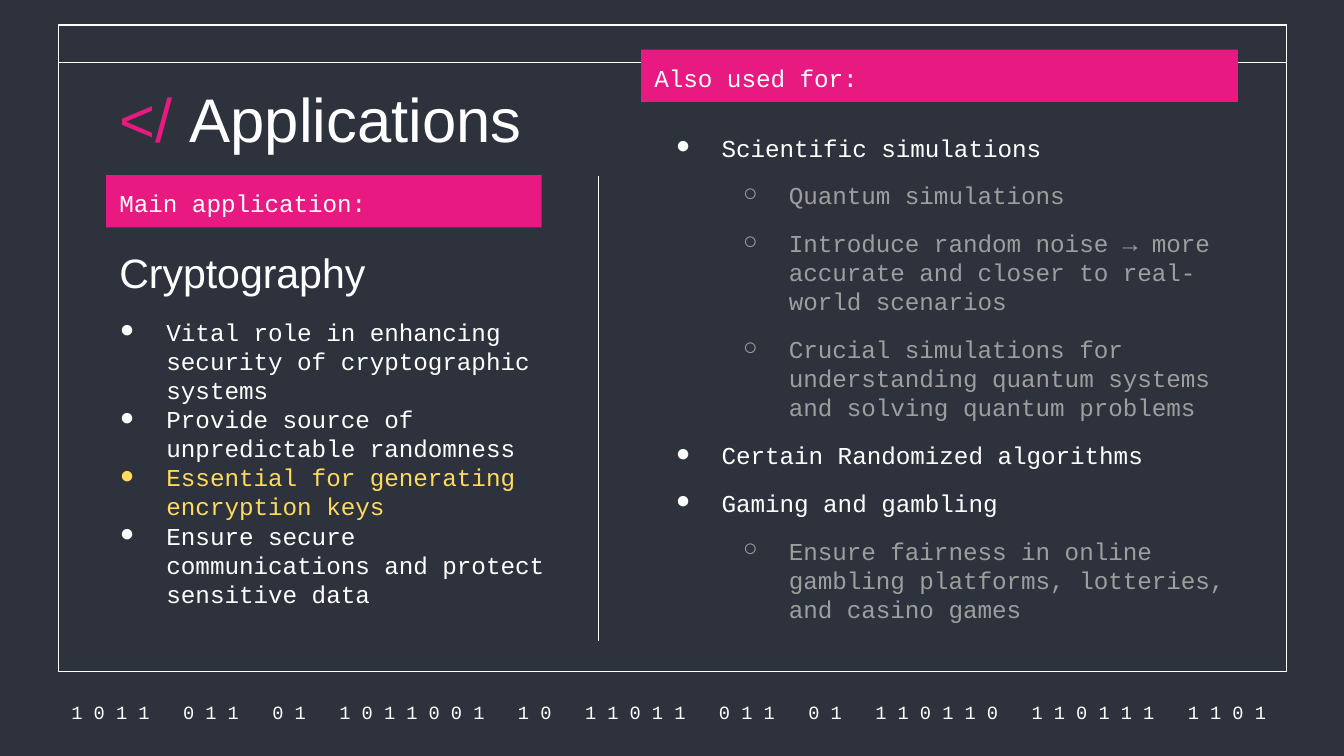
from lxml import etree
from pptx import Presentation
from pptx import util as u
from pptx.dml.color import RGBColor
from pptx.enum import shapes, text
from pptx.oxml.ns import qn

Pt = u.Pt
NAVY = RGBColor(0x2D, 0x32, 0x3C)
WHITE = RGBColor(0xFF, 0xFF, 0xFF)
PINK = RGBColor(0xE8, 0x19, 0x81)
YELLOW = RGBColor(0xFF, 0xDB, 0x5D)
GRAY = RGBColor(0x9E, 0x9E, 0x9E)
SANS, MONO = "Arial", "Courier New"
BODY_SIZE, BODY_LEADING = 13, 15.6
INSET = 7.2
BITS = "1011 011 01 1011001 10 11011 011 01 110110 110111 1101"

# Each item: text, level, colour
CRYPTOGRAPHY_ITEMS = [
    ("Vital role in enhancing security of cryptographic systems", 0, WHITE),
    ("Provide source of unpredictable randomness", 0, WHITE),
    ("Essential for generating encryption keys", 0, YELLOW),
    ("Ensure secure communications and protect sensitive data", 0, WHITE),
]
OTHER_ITEMS = [
    ("Scientific simulations", 0, WHITE),
    ("Quantum simulations", 1, GRAY),
    ("Introduce random noise → more accurate and closer to real-world scenarios", 1, GRAY),
    ("Crucial simulations for understanding quantum systems and solving quantum problems", 1, GRAY),
    ("Certain Randomized algorithms", 0, WHITE),
    ("Gaming and gambling", 0, WHITE),
    ("Ensure fairness in online gambling platforms, lotteries, and casino games", 1, GRAY),
]


def style_font(font, name, size, color):
    font.name, font.size = name, Pt(size)
    font.color.rgb = color


def prepare_frame(shape, anchor=text.MSO_ANCHOR.TOP):
    frame = shape.text_frame
    frame.word_wrap = True
    frame.vertical_anchor = anchor
    frame.margin_left = frame.margin_right = Pt(INSET)
    frame.margin_top = frame.margin_bottom = Pt(INSET)
    return frame


def add_text_box(slide, left, top, width, height, anchor=text.MSO_ANCHOR.TOP):
    box = slide.shapes.add_textbox(Pt(left), Pt(top), Pt(width), Pt(height))
    return prepare_frame(box, anchor)


def add_rectangle(slide, left, top, width, height, fill, line=None):
    shape = slide.shapes.add_shape(
        shapes.MSO_SHAPE.RECTANGLE, Pt(left), Pt(top), Pt(width), Pt(height))
    shape.shadow.inherit = False
    shape.fill.solid()
    shape.fill.fore_color.rgb = fill
    if line is None:
        shape.line.fill.background()
    else:
        shape.line.color.rgb = line
        shape.line.width = Pt(0.75)
    return shape


def add_window(slide, left, top, width, height):
    for part_height in (height, 20):
        add_rectangle(slide, left, top, width, part_height, NAVY, WHITE)


def add_binary_strip(slide, left, top, width, height):
    """Spaced digits, with wider tracking on the space between groups."""
    frame = add_text_box(slide, left, top, width, height, text.MSO_ANCHOR.MIDDLE)
    paragraph = frame.paragraphs[0]
    paragraph.alignment = text.PP_ALIGN.CENTER
    for index, group in enumerate(BITS.split()):
        if index:
            gap = paragraph.add_run()
            gap.text = " "
            gap.font._element.set("spc", "1200")
        paragraph.add_run().text = " ".join(group)
    for run in paragraph.runs:
        style_font(run.font, MONO, 10, WHITE)


def add_heading(slide, left, top, width, height, size, pieces):
    paragraph = add_text_box(slide, left, top, width, height).paragraphs[0]
    for wording, color in pieces:
        run = paragraph.add_run()
        run.text = wording
        style_font(run.font, SANS, size, color)


def add_label(slide, left, top, width, height, wording):
    bar = add_rectangle(slide, left, top, width, height, PINK)
    frame = prepare_frame(bar)
    frame.text = wording
    paragraph = frame.paragraphs[0]
    paragraph.alignment = text.PP_ALIGN.LEFT
    paragraph.line_spacing = Pt(BODY_LEADING)
    style_font(paragraph.runs[0].font, MONO, BODY_SIZE, WHITE)


def add_bullet(paragraph, level, hanging, color):
    properties = paragraph._p.get_or_add_pPr()
    properties.set("marL", str(Pt(36 * (level + 1))))
    properties.set("indent", str(-Pt(hanging)))
    bullet_color = etree.SubElement(properties, qn("a:buClr"))
    etree.SubElement(bullet_color, qn("a:srgbClr"), val=str(color))
    etree.SubElement(properties, qn("a:buFont"), typeface=MONO)
    etree.SubElement(properties, qn("a:buChar"), char="●○"[level])


def add_bullet_list(slide, left, top, width, height, items, hanging, gap):
    frame = add_text_box(slide, left, top, width, height)
    for index, (wording, level, color) in enumerate(items):
        paragraph = frame.add_paragraph() if index else frame.paragraphs[0]
        paragraph.text = wording
        paragraph.level = level
        paragraph.line_spacing = Pt(BODY_LEADING)
        paragraph.space_before = Pt(gap if index else 0)
        add_bullet(paragraph, level, hanging, color)
        style_font(paragraph.runs[0].font, MONO, BODY_SIZE, color)


def add_divider(slide, x, top, bottom):
    line = slide.shapes.add_connector(
        shapes.MSO_CONNECTOR.STRAIGHT, Pt(x), Pt(top), Pt(x), Pt(bottom))
    line.line.color.rgb = WHITE
    line.line.width = Pt(0.75)
    etree.SubElement(line._element.spPr, qn("a:effectLst"))


def add_main_application(slide, left, top, width):
    add_heading(slide, left, top, 607, 45.5, 33,
                [("</ ", PINK), ("Applications", WHITE)])
    add_label(slide, left, top + 57.8, width, 28, "Main application:")
    add_heading(slide, left, top + 89.3, 201.6, 34.6, 22, [("Cryptography", WHITE)])
    add_bullet_list(slide, left - 10.8, top + 126.7, width + 32.4, 181.4,
                    CRYPTOGRAPHY_ITEMS, hanging=25, gap=0)


def add_other_uses(slide, left, top, width):
    add_bullet_list(slide, left, top + 37.4, width, 280.8,
                    OTHER_ITEMS, hanging=24.5, gap=10)
    add_label(slide, left, top, width, 28, "Also used for:")


def main():
    presentation = Presentation()
    presentation.slide_width, presentation.slide_height = Pt(720), Pt(405)
    slide = presentation.slides.add_slide(presentation.slide_layouts[6])
    slide.background.fill.solid()
    slide.background.fill.fore_color.rgb = NAVY
    add_window(slide, 31.2, 13.5, 658, 346.3)
    add_binary_strip(slide, 24.5, 374.4, 667.5, 14.4)
    add_main_application(slide, 56.9, 36, 233.3)
    add_divider(slide, 320.5, 94.3, 343.2)
    add_other_uses(slide, 343.5, 26.6, 319.7)
    presentation.save("out.pptx")


if __name__ == "__main__":
    main()
